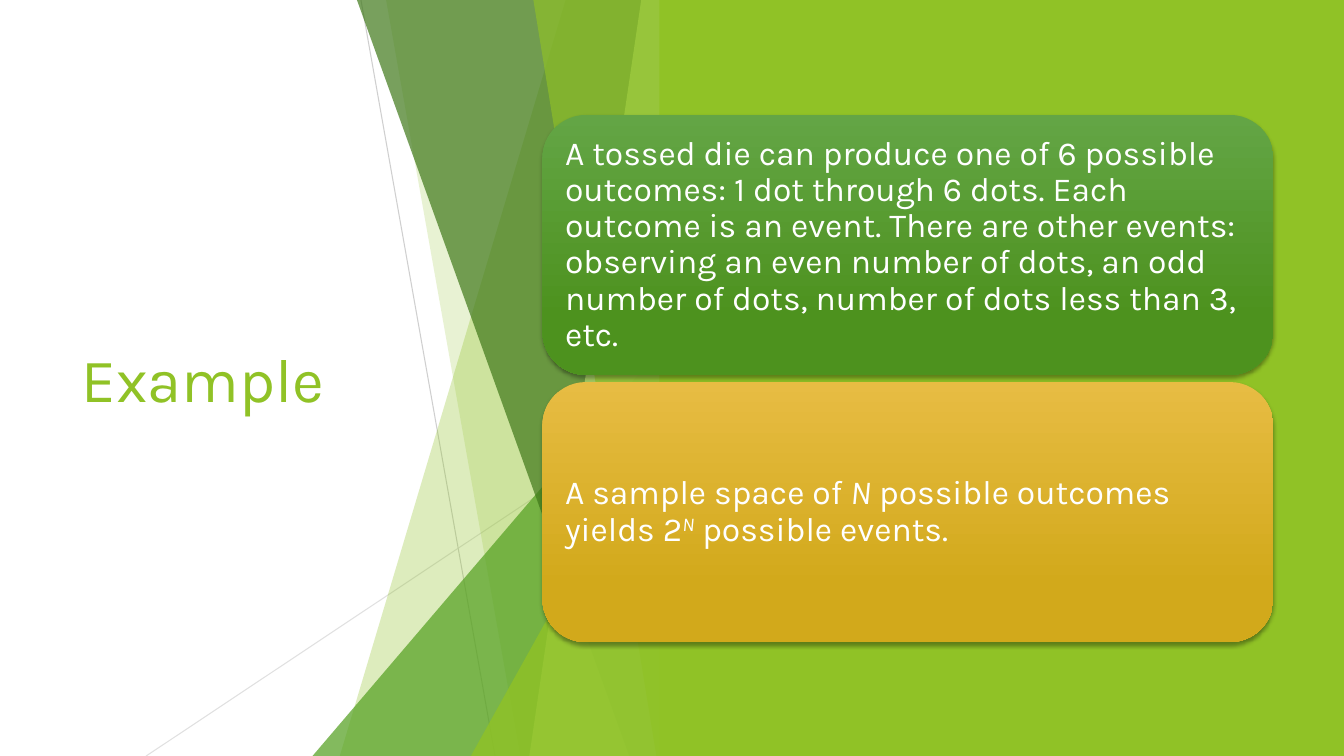
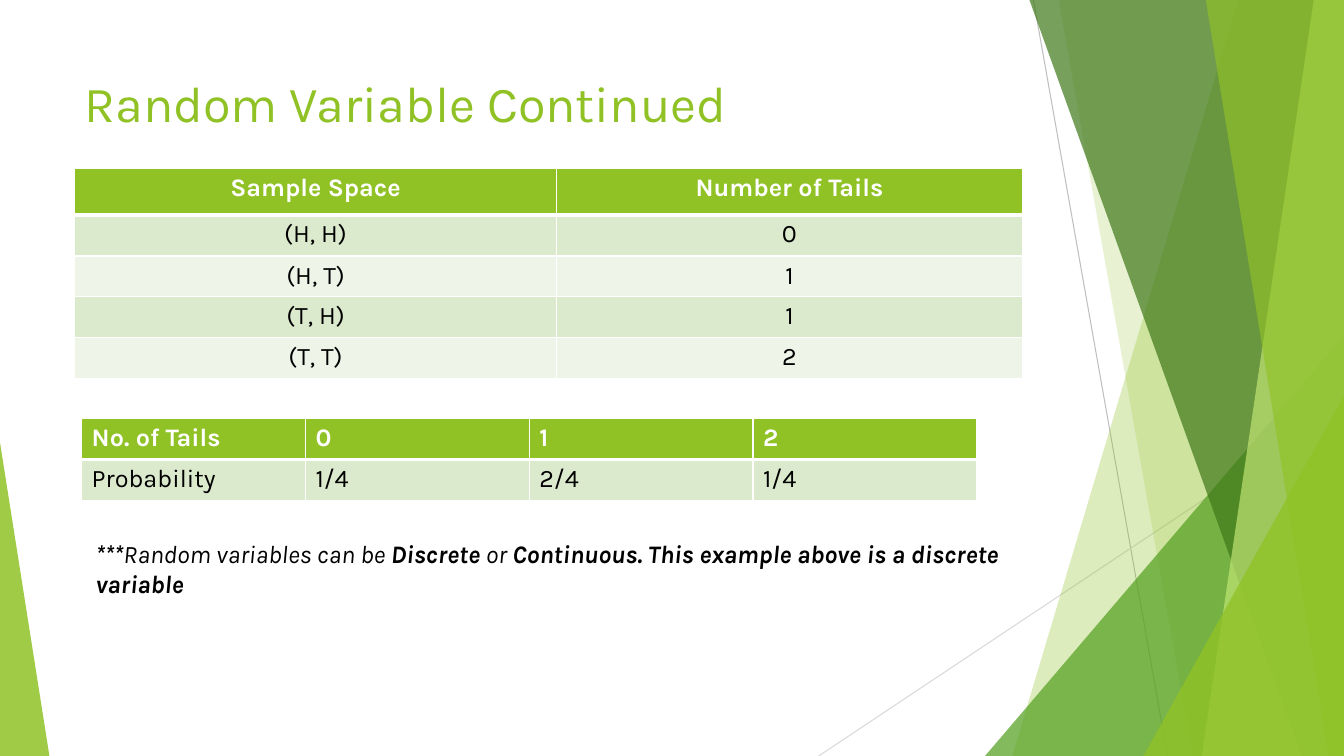
from dataclasses import dataclass

from lxml import etree
from pptx import Presentation
from pptx.dml.color import RGBColor
from pptx.enum.shapes import MSO_CONNECTOR, MSO_SHAPE
from pptx.enum.text import MSO_ANCHOR as ANCHOR, PP_ALIGN as ALIGN
from pptx.oxml.ns import qn
from pptx.util import Inches, Pt

# Shared style
FONT = "Karla"
WIDTH, HEIGHT = 13.33, 7.5
LIME = RGBColor(0x90, 0xC2, 0x26)
GREEN = RGBColor(0x54, 0xA0, 0x21)
FOREST = RGBColor(0x3F, 0x78, 0x19)
PALE_LIME = RGBColor(0xC0, 0xE4, 0x74)
GRAY = RGBColor(0xBF, 0xBF, 0xBF)
LIGHT_GRAY = RGBColor(0xD9, 0xD9, 0xD9)
CARD_GREEN = (RGBColor(0x63, 0xA5, 0x45), RGBColor(0x4D, 0x92, 0x1E))
CARD_GOLD = (RGBColor(0xE7, 0xBC, 0x43), RGBColor(0xD2, 0xA9, 0x1B))
BAND_DARK = RGBColor(0xDB, 0xE9, 0xCD)
BAND_LIGHT = RGBColor(0xEE, 0xF4, 0xE8)
WHITE = RGBColor(0xFF, 0xFF, 0xFF)
BLACK = RGBColor(0, 0, 0)


@dataclass(frozen=True)
class Ray:
    start: tuple[float, float]
    end: tuple[float, float]
    color: RGBColor
    faded: int


@dataclass(frozen=True)
class Facet:
    """Slanted left edge, straight right edge at the side of the band."""
    top: float
    bottom: float
    color: RGBColor
    alpha: int


@dataclass(frozen=True)
class Wedge:
    """Right triangle standing on the bottom edge."""
    left: float
    top: float
    width: float
    apex: float
    color: RGBColor
    alpha: int


@dataclass(frozen=True)
class Span:
    text: str
    bold: bool = False
    italic: bool = False
    raised: bool = False


@dataclass(frozen=True)
class Card:
    top: float
    colors: tuple[RGBColor, RGBColor]
    spans: list[Span]


RAYS = [
    Ray((10.25, 0), (11.58, HEIGHT), GRAY, 75),
    Ray((WIDTH, 4.03), (8.12, HEIGHT), LIGHT_GRAY, 80),
]
BAND = [
    Facet(12.28, 10.04, LIME, 30),
    Facet(10.5, 11.83, LIME, 20),
    Wedge(9.77, 3.33, 3.56, 1, GREEN, 72),
    Facet(10.21, 12.91, FOREST, 70),
    Facet(13.03, 11.92, PALE_LIME, 70),
    Facet(11.96, 13.18, LIME, 65),
    Wedge(11.34, 3.93, 1.99, 1, LIME, 80),
]
CORNER = Wedge(0, 4.39, 0.49, 0, LIME, 85)

CARDS = [
    Card(1.14, CARD_GREEN, [Span(
        "A tossed die can produce one of 6 possible outcomes: 1 dot through "
        "6 dots. Each outcome is an event. There are other events: observing "
        "an even number of dots, an odd number of dots, number of dots less "
        "than 3, etc.")]),
    Card(3.79, CARD_GOLD, [
        Span("A sample space of "), Span("N", italic=True),
        Span(" possible outcomes yields 2"),
        Span("N", italic=True, raised=True), Span(" possible events.")]),
]
TAILS = [("Sample Space", "Number of Tails"), ("(H, H)", "0"),
         ("(H, T)", "1"), ("(T, H)", "1"), ("(T, T)", "2")]
PROBABILITIES = [("No. of Tails", "0", "1", "2"),
                 ("Probability", "1/4", "2/4", "1/4")]
NOTE = [
    Span("***", bold=True, italic=True),
    Span("Random variables can be ", italic=True),
    Span("Discrete ", bold=True, italic=True),
    Span("or ", italic=True),
    Span("Continuous. This example above is a discrete variable",
         bold=True, italic=True),
]


# Drawing helpers
def set_alpha(s, percent: int) -> None:
    for color in s.element.spPr.iter(qn("a:srgbClr")):
        etree.SubElement(color, qn("a:alpha"), val=str(percent * 1000))


def paint(s, color: RGBColor, alpha: int = 100) -> None:
    s.shadow.inherit = False
    s.fill.solid()
    s.fill.fore_color.rgb = color
    s.line.fill.background()
    if alpha < 100:
        set_alpha(s, alpha)


def add_ray(slide, ray: Ray, dx: float, faded: bool) -> None:
    (x1, y1), (x2, y2) = ray.start, ray.end
    s = slide.shapes.add_connector(
        MSO_CONNECTOR.STRAIGHT, Inches(x1 + dx), Inches(y1),
        Inches(x2 + dx), Inches(y2))
    s.line.color.rgb = ray.color
    s.line.width = Pt(0.75)
    if faded:
        set_alpha(s, ray.faded)
    etree.SubElement(s.element.spPr, qn("a:effectLst"))


def add_facet(slide, facet: Facet, dx: float) -> None:
    right = WIDTH + dx
    corners = [(right, 0), (right, HEIGHT), (facet.bottom + dx, HEIGHT)]
    outline = slide.shapes.build_freeform(Inches(facet.top + dx), 0)
    outline.add_line_segments([(Inches(x), Inches(y)) for x, y in corners])
    paint(outline.convert_to_shape(), facet.color, facet.alpha)


def add_wedge(slide, wedge: Wedge, dx: float = 0) -> None:
    s = slide.shapes.add_shape(
        MSO_SHAPE.ISOSCELES_TRIANGLE, Inches(wedge.left + dx),
        Inches(wedge.top), Inches(wedge.width), Inches(HEIGHT - wedge.top))
    s.adjustments[0] = wedge.apex
    paint(s, wedge.color, wedge.alpha)


def add_band(slide, dx: float = 0, faded: bool = False) -> None:
    for ray in RAYS:
        add_ray(slide, ray, dx, faded)
    for piece in BAND:
        if isinstance(piece, Facet):
            add_facet(slide, piece, dx)
        else:
            add_wedge(slide, piece, dx)


def write(p, spans: list[Span], size: float, color: RGBColor) -> None:
    for span in spans:
        r = p.add_run()
        r.text = span.text
        r.font.name, r.font.size = FONT, Pt(size)
        r.font.bold, r.font.italic = span.bold, span.italic
        r.font.color.rgb = color
        if span.raised:
            r.font._element.set("baseline", "30000")


def add_text(slide, left: float, top: float, width: float, height: float,
             spans: list[Span], size: float, color: RGBColor,
             anchor: ANCHOR = ANCHOR.TOP) -> None:
    s = slide.shapes.add_textbox(
        Inches(left), Inches(top), Inches(width), Inches(height))
    tf = s.text_frame
    tf.word_wrap = True
    tf.vertical_anchor = anchor
    write(tf.paragraphs[0], spans, size, color)


def add_card(slide, card: Card) -> None:
    s = slide.shapes.add_shape(
        MSO_SHAPE.ROUNDED_RECTANGLE, Inches(5.38), Inches(card.top),
        Inches(7.25), Inches(2.58))
    paint(s, card.colors[0])
    s.fill.gradient()
    s.fill.gradient_angle = 270
    for stop, position, color in zip(s.fill.gradient_stops, (0, 0.78), card.colors):
        stop.position = position
        stop.color.rgb = color

    # Soft shadow below the card
    effects = s.element.spPr.find(qn("a:effectLst"))
    shadow = etree.SubElement(
        effects, qn("a:outerShdw"), blurRad=str(Pt(3)), dist=str(Pt(2)),
        dir="5400000", algn="ctr", rotWithShape="0")
    shade = etree.SubElement(shadow, qn("a:srgbClr"), val="000000")
    etree.SubElement(shade, qn("a:alpha"), val="35000")

    tf = s.text_frame
    tf.word_wrap = True
    tf.vertical_anchor = ANCHOR.MIDDLE
    tf.margin_left = tf.margin_right = Inches(0.1)
    tf.margin_top = tf.margin_bottom = Inches(0.1)
    p = tf.paragraphs[0]
    p.alignment = ALIGN.LEFT
    p.line_spacing = 0.9
    write(p, card.spans, 24, WHITE)


def set_borders(cell, top: float, bottom: float) -> None:
    tcPr = cell._tc.get_or_add_tcPr()
    for side, width in (("L", 1), ("R", 1), ("T", top), ("B", bottom)):
        line = etree.SubElement(tcPr, qn(f"a:ln{side}"), w=str(Pt(width)))
        fill = etree.SubElement(line, qn("a:solidFill"))
        etree.SubElement(fill, qn("a:srgbClr"), val=str(WHITE))


def add_grid(slide, left: float, top: float, widths: list[float],
             heights: list[float], rows: list[tuple[str, ...]],
             align: ALIGN) -> None:
    table = slide.shapes.add_table(
        len(rows), len(widths), Inches(left), Inches(top),
        Inches(sum(widths)), Inches(sum(heights))).table
    for column, width in zip(table.columns, widths):
        column.width = Inches(width)
    for i, (values, height) in enumerate(zip(rows, heights)):
        table.rows[i].height = Inches(height)
        header = i == 0
        band = LIME if header else BAND_DARK if i % 2 else BAND_LIGHT
        for j, value in enumerate(values):
            cell = table.cell(i, j)
            set_borders(cell, 3 if i == 1 else 1, 3 if header else 1)
            cell.fill.solid()
            cell.fill.fore_color.rgb = band
            p = cell.text_frame.paragraphs[0]
            p.alignment = align
            write(p, [Span(value, bold=header)], 18, WHITE if header else BLACK)


# Slides
def example_slide(prs) -> None:
    slide = prs.slides.add_slide(prs.slide_layouts[6])
    add_text(slide, 0.71, 1.51, 3.88, 4.48, [Span("Example")], 44, LIME,
             ANCHOR.MIDDLE)
    add_band(slide, dx=-6.67, faded=True)
    panel = slide.shapes.add_shape(
        MSO_SHAPE.RECTANGLE, Inches(6.54), 0, Inches(WIDTH - 6.54), Inches(HEIGHT))
    paint(panel, LIME)
    for card in CARDS:
        add_card(slide, card)


def random_variable_slide(prs) -> None:
    slide = prs.slides.add_slide(prs.slide_layouts[6])
    add_band(slide)
    add_wedge(slide, CORNER)
    add_text(slide, 0.74, 0.67, 9.4, 1, [Span("Random Variable Continued")],
             36, LIME)
    add_grid(slide, 0.74, 1.67, [4.78, 4.62], [0.46, 0.41, 0.38, 0.41, 0.41],
             TAILS, ALIGN.CENTER)
    add_text(slide, 0.85, 5.29, 9.29, 1.01, NOTE, 18, BLACK)
    add_grid(slide, 0.81, 4.15, [2.22] * 4, [0.41] * 2, PROBABILITIES, ALIGN.LEFT)


def main() -> None:
    prs = Presentation()
    prs.slide_width, prs.slide_height = Inches(WIDTH), Inches(HEIGHT)
    example_slide(prs)
    random_variable_slide(prs)
    prs.save("out.pptx")


if __name__ == "__main__":
    main()
